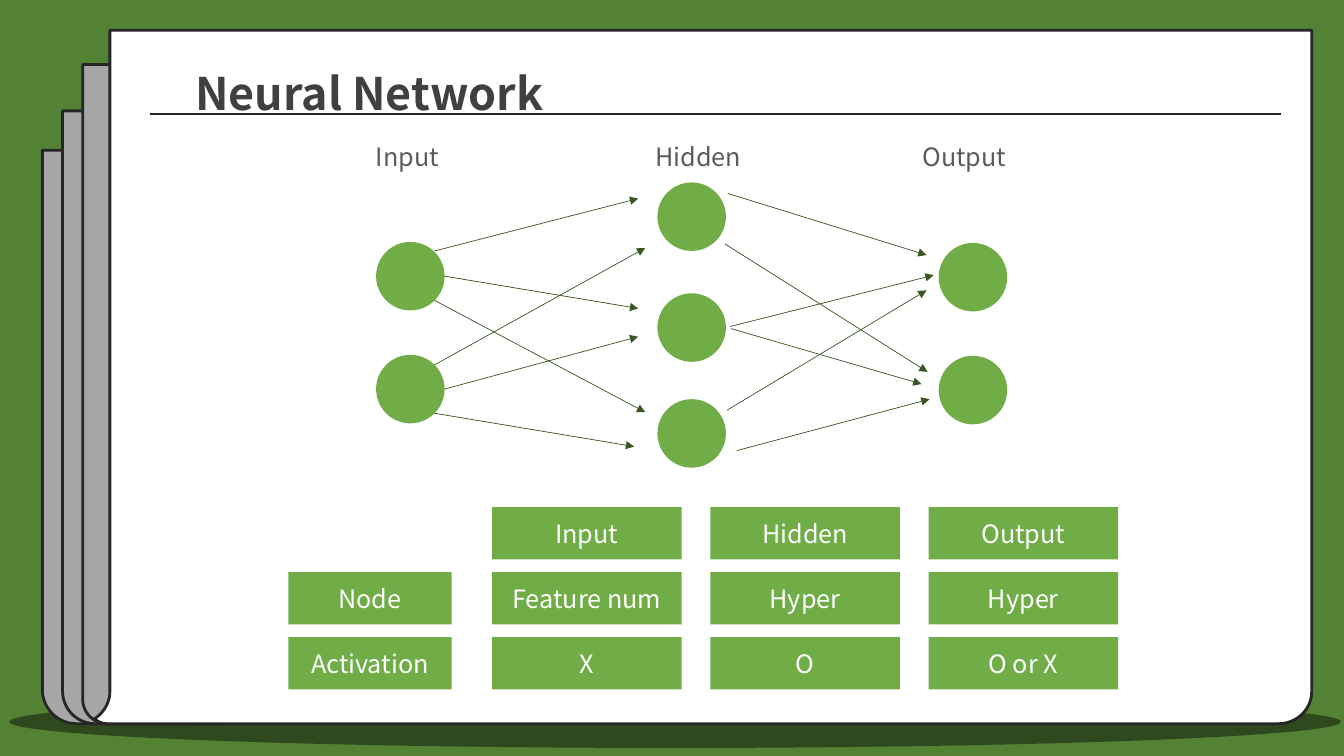
from lxml import etree
from pptx import Presentation, util as u
from pptx.dml.color import RGBColor
from pptx.enum import shapes, text
from pptx.oxml.ns import qn

FONT = "Noto Sans CJK KR"
COL = ROW = u.Inches(1)
HUES = {
    "back": "548235", "shade": "000000", "sheet": "A6A6A6", "edge": "262626",
    "white": "FFFFFF", "title": "404040", "label": "5C5C5C",
    "green": "70AD47", "arrow": "385723",
}
HEADS = ["Input", "Hidden", "Output"]
TABLE = [
    ("Node", ["Feature num", "Hyper", "Hyper"]),
    ("Activation", ["X", "O", "O or X"]),
]
LABELS = [(3.63, 0.88), (6.4, 1.5), (9.05, 1.5)]
NODES = [
    (3.73, [2.4, 3.52]),
    (6.52, [1.81, 2.91, 3.96]),
    (9.31, [2.41, 3.53]),
]
LINKS = [
    (4.31, 2.49, 6.33, 1.97), (4.41, 2.74, 6.33, 3.06),
    (4.31, 2.98, 6.4, 4.09), (4.31, 3.62, 6.4, 2.46),
    (4.41, 3.86, 6.33, 3.34), (4.31, 4.1, 6.29, 4.43),
    (7.22, 1.92, 9.19, 2.53), (7.19, 2.42, 9.2, 3.69),
    (7.24, 3.24, 9.26, 2.73), (7.25, 3.26, 9.14, 3.81),
    (7.21, 4.07, 9.19, 2.88), (7.31, 4.47, 9.22, 3.96),
]


def hue(name):
    """Return the named colour."""
    return RGBColor.from_string(HUES[name])


def grid(x, y, *size):
    """Turn columns and rows into slide lengths."""
    return [round(n * unit) for n, unit in zip((x, y, *size), (COL, ROW) * 2)]


def paint(shape, fill, edge=None):
    """Give a shape a flat fill and an optional outline."""
    shape.shadow.inherit = False
    shape.fill.solid()
    shape.fill.fore_color.rgb = hue(fill)
    if edge:
        shape.line.color.rgb = hue(edge)
        shape.line.width = u.Pt(2)
    else:
        shape.line.fill.background()
    return shape


def form(slide, kind, box, fill, edge=None):
    """Add a preset shape."""
    return paint(slide.shapes.add_shape(kind, *grid(*box)), fill, edge)


def write(shape, words, size, ink, align, bold=False):
    """Set one line of text and format it."""
    frame = shape.text_frame
    frame.text = words
    frame.word_wrap = True
    line = frame.paragraphs[0]
    line.alignment = align
    font = line.runs[0].font
    font.name, font.size, font.bold = FONT, u.Pt(size), bold
    font.color.rgb = hue(ink)
    return frame


def stroke(slide, ends, ink, width, head=False):
    """Draw a straight line, with an arrowhead if asked."""
    line = slide.shapes.add_connector(
        shapes.MSO_CONNECTOR.STRAIGHT, *grid(*ends))
    line.line.color.rgb = hue(ink)
    line.line.width = u.Pt(width)
    if head:
        etree.SubElement(line.line._get_or_add_ln(), qn("a:tailEnd"),
                         type="triangle")
    etree.SubElement(line._element.spPr, qn("a:effectLst"))


def curve(a, b, c, d, steps=12):
    """List points along a Bezier curve, after its start."""
    spots = [k / steps for k in range(1, steps + 1)]
    return [tuple((1 - t) ** 3 * p + 3 * (1 - t) ** 2 * t * q
                  + 3 * (1 - t) * t * t * r + t ** 3 * s
                  for p, q, r, s in zip(a, b, c, d)) for t in spots]


def panel(slide):
    """Draw the white front page with its curled corner."""
    points = [(13.01, 0.3), (13.01, 6.86)]
    points += curve((13.01, 6.86), (13.01, 7.04), (12.86, 7.18), (12.68, 7.18))
    points += [(1.1, 7.18)]
    points += curve((1.1, 7.18), (1.06, 7.18), (1.02, 7.18), (0.98, 7.16))
    points += [(0.93, 7.13), (0.94, 7.13)]
    points += curve((0.94, 7.13), (1.03, 7.07), (1.09, 6.97), (1.09, 6.86))
    build = slide.shapes.build_freeform(*grid(1.09, 0.3))
    build.add_line_segments([grid(*p) for p in points], close=True)
    paint(build.convert_to_shape(), "white", "edge")


def stage(slide):
    """Draw the backdrop, the stacked sheets and the front page."""
    slide.background.fill.solid()
    slide.background.fill.fore_color.rgb = hue("back")
    kind = shapes.MSO_SHAPE
    shade = form(slide, kind.OVAL, (0.09, 6.9, 13.21, 0.52), "shade")
    tint = shade._element.spPr.find(f".//{qn('a:srgbClr')}")
    etree.SubElement(tint, qn("a:alpha"), val="43000")
    for x, y, bend in [(0.42, 1.49, 0.21), (0.62, 1.1, 0.2), (0.82, 0.64, 0.15)]:
        sheet = form(slide, kind.ROUND_2_SAME_RECTANGLE,
                     (x, y, 1.62, 7.18 - y), "sheet", "edge")
        sheet.adjustments[0], sheet.adjustments[1] = 0, bend
    panel(slide)
    stroke(slide, (1.49, 1.13, 12.71, 1.13), "edge", 1.5)


def head(slide):
    """Place the title on the front page."""
    title = slide.shapes.title
    title.left, title.top, title.width, title.height = grid(0.51, 0.34, 6.31, 0.82)
    frame = write(title, "Neural Network", 32, "title", text.PP_ALIGN.CENTER, True)
    frame.auto_size = text.MSO_AUTO_SIZE.NONE
    frame.vertical_anchor = text.MSO_ANCHOR.TOP
    frame.paragraphs[0].line_spacing = 1.5
    frame.paragraphs[0].space_before = u.Pt(0)
    slide.shapes._spTree.append(title._element)


def cell(slide, box, words):
    """Add a green box with centred text."""
    block = form(slide, shapes.MSO_SHAPE.RECTANGLE, box, "green")
    frame = write(block, words, 18, "white", text.PP_ALIGN.CENTER)
    frame.vertical_anchor = text.MSO_ANCHOR.MIDDLE


def table(slide):
    """Lay out the boxes in rows and columns."""
    for row, (name, words) in enumerate([("", HEADS)] + TABLE):
        y = 5.03 + 0.645 * row
        if name:
            cell(slide, (2.86, y, 1.62, 0.52), name)
        for col, word in enumerate(words):
            cell(slide, (4.88 + 2.165 * col, y, 1.88, 0.52), word)


def net(slide):
    """Draw the nodes, links and layer labels."""
    for x, tops in NODES:
        for y in tops:
            form(slide, shapes.MSO_SHAPE.OVAL, (x, y, 0.68, 0.68), "green")
    for ends in LINKS:
        stroke(slide, ends, "arrow", 0.5, head=True)
    for word, (x, width) in zip(HEADS, LABELS):
        label = slide.shapes.add_textbox(*grid(x, 1.35, width, 0.4))
        write(label, word, 18, "label", text.PP_ALIGN.LEFT)


def main():
    """Build the slide and save it."""
    deck = Presentation()
    deck.slide_width, deck.slide_height = grid(13.33, 7.5)
    slide = deck.slides.add_slide(deck.slide_layouts[5])
    stage(slide)
    head(slide)
    table(slide)
    net(slide)
    deck.save("out.pptx")


if __name__ == "__main__":
    main()
